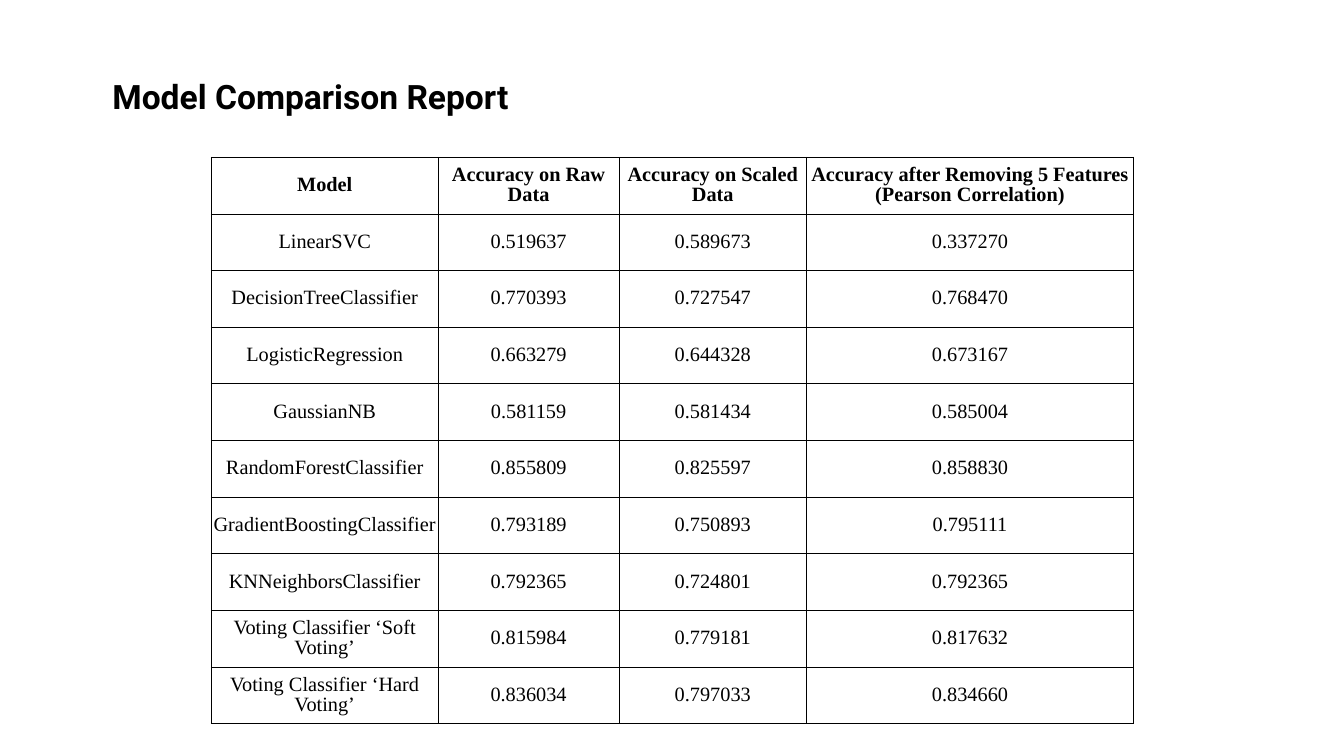
import pptx
import pptx.util
import pptx.dml.color
import pptx.enum.text
import pptx.oxml
import pptx.oxml.ns

Inches = pptx.util.Inches
Pt = pptx.util.Pt
ALIGN = pptx.enum.text.PP_ALIGN
MIDDLE = pptx.enum.text.MSO_ANCHOR.MIDDLE

INK = "000000"
WIDTHS = [4.51, 3.58, 3.73, 6.48]
ROW = 1.124
HEADS = [
    "Model",
    "Accuracy on Raw Data",
    "Accuracy on Scaled Data",
    "Accuracy after Removing 5 Features (Pearson Correlation)",
]
SCORES = [
    ["LinearSVC", "0.519637", "0.589673", "0.337270"],
    ["DecisionTreeClassifier", "0.770393", "0.727547", "0.768470"],
    ["LogisticRegression", "0.663279", "0.644328", "0.673167"],
    ["GaussianNB", "0.581159", "0.581434", "0.585004"],
    ["RandomForestClassifier", "0.855809", "0.825597", "0.858830"],
    ["GradientBoostingClassifier", "0.793189", "0.750893", "0.795111"],
    ["KNNeighborsClassifier", "0.792365", "0.724801", "0.792365"],
    ["Voting Classifier ‘Soft Voting’", "0.815984", "0.779181", "0.817632"],
    ["Voting Classifier ‘Hard Voting’", "0.836034", "0.797033", "0.834660"],
]


def color(code):
    """Turn a hex string into a colour."""
    return pptx.dml.color.RGBColor.from_string(code)


def write(frame, text, font, size, bold, align):
    """Put one styled run in the first paragraph of a text frame."""
    para = frame.paragraphs[0]
    para.alignment = align
    para.line_spacing = 0.9
    para.space_before = Pt(45)
    run = para.add_run()
    run.text = text
    run.font.name = font
    run.font.size = Pt(size)
    run.font.bold = bold
    run.font.color.rgb = color(INK)


def inset(box, gap):
    """Set the same margin on all four sides of a cell or text frame."""
    box.margin_left = box.margin_right = Inches(gap)
    box.margin_top = box.margin_bottom = Inches(gap)


def border(cell, code, width):
    """Draw a solid line on every side of a cell."""
    props = cell._tc.get_or_add_tcPr()
    for spot, side in enumerate(("lnL", "lnR", "lnT", "lnB")):
        line = pptx.oxml.parse_xml(
            f'<a:{side} {pptx.oxml.ns.nsdecls("a")} w="{Pt(width)}">'
            f'<a:solidFill><a:srgbClr val="{code}"/></a:solidFill></a:{side}>'
        )
        props.insert(spot, line)


def add_title(slide, text):
    """Place and format the slide title."""
    title = slide.shapes.title
    title.left, title.top = Inches(2.17), Inches(1.51)
    title.width, title.height = Inches(8.53), Inches(0.9)
    frame = title.text_frame
    frame.word_wrap = False
    frame.auto_size = pptx.enum.text.MSO_AUTO_SIZE.SHAPE_TO_FIT_TEXT
    frame.vertical_anchor = MIDDLE
    inset(frame, 0.06)
    write(frame, text, "Roboto", 48, True, ALIGN.LEFT)


def add_grid(slide, rows):
    """Add the score table, with a bold first row."""
    table = slide.shapes.add_table(
        len(rows), len(WIDTHS), Inches(4.19), Inches(3.12),
        Inches(sum(WIDTHS)), Inches(ROW * len(rows)),
    ).table
    table.horz_banding = False
    for col, width in zip(table.columns, WIDTHS):
        col.width = Inches(width)
    for r, row in enumerate(rows):
        table.rows[r].height = Inches(ROW)
        for c, text in enumerate(row):
            cell = table.cell(r, c)
            cell.fill.background()
            cell.vertical_anchor = MIDDLE
            inset(cell, 0.01)
            border(cell, INK, 1)
            write(cell.text_frame, text, "Times New Roman", 29,
                  r == 0, ALIGN.CENTER)


def main():
    """Build the slide and save it."""
    deck = pptx.Presentation()
    deck.slide_width, deck.slide_height = Inches(26.67), Inches(15)
    slide = deck.slides.add_slide(deck.slide_layouts[5])
    slide.background.fill.solid()
    slide.background.fill.fore_color.rgb = color("FFFFFF")
    add_title(slide, "Model Comparison Report")
    add_grid(slide, [HEADS] + SCORES)
    deck.save("out.pptx")


main()
